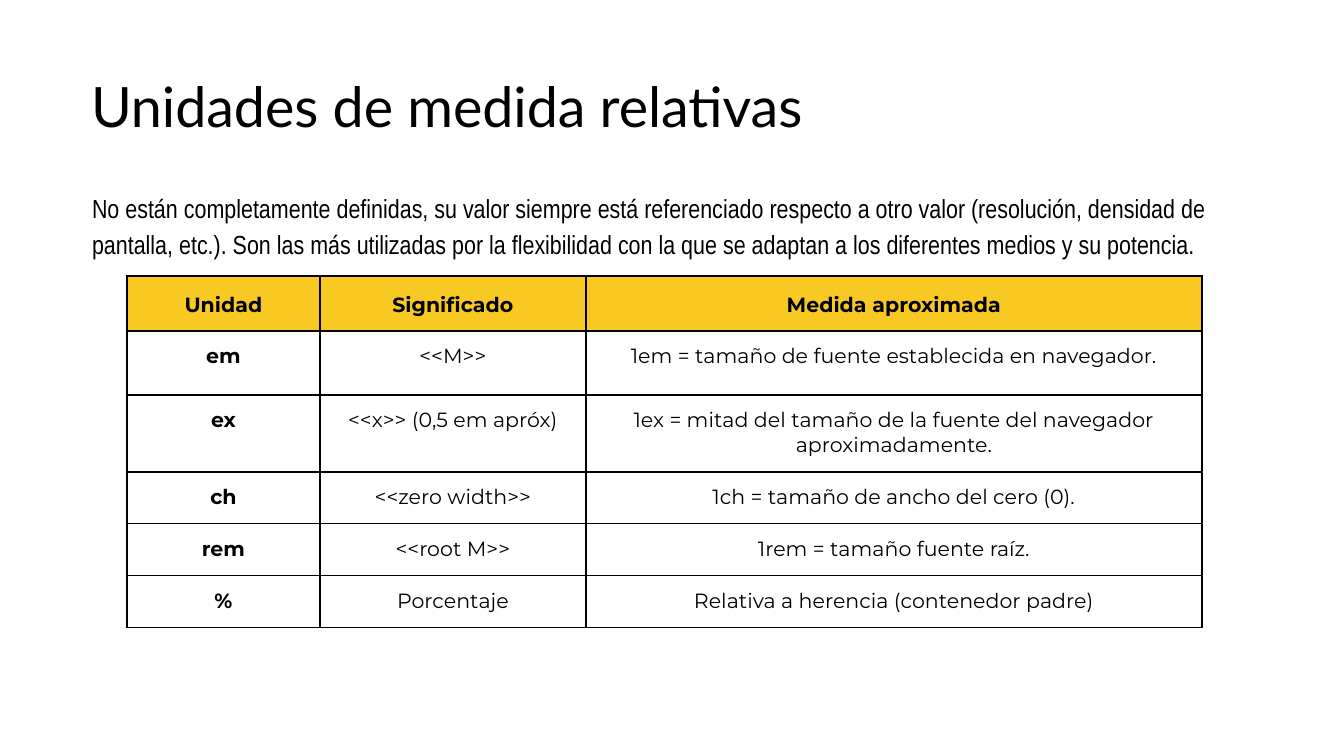
from typing import NamedTuple

from lxml.etree import SubElement
from pptx import Presentation
from pptx.dml.color import RGBColor
from pptx.enum.text import MSO_ANCHOR as Anchor, MSO_AUTO_SIZE as AutoSize, PP_ALIGN as Align
from pptx.oxml.ns import qn
from pptx.util import Emu, Pt

BLACK = RGBColor(0x00, 0x00, 0x00)
YELLOW = RGBColor(0xF8, 0xC8, 0x23)
EMU_PER_PX = 914400 / 134.4
INSET = 13
COLUMN_WIDTHS = (193, 266, 616)
HEADINGS = ("Unidad", "Significado", "Medida aproximada")
HEADING_HEIGHT = 55


class Box(NamedTuple):
    left: int
    top: int
    width: int
    height: int


class Unit(NamedTuple):
    name: str
    meaning: str
    measure: str
    height: int = 52


UNITS = (
    Unit("em", "<<M>>", "1em = tamaño de fuente establecida en navegador.", 64),
    Unit("ex", "<<x>> (0,5 em apróx)",
         "1ex = mitad del tamaño de la fuente del navegador aproximadamente.", 77),
    Unit("ch", "<<zero width>>", "1ch = tamaño de ancho del cero (0)."),
    Unit("rem", "<<root M>>", "1rem = tamaño fuente raíz."),
    Unit("%", "Porcentaje", "Relativa a herencia (contenedor padre)"),
)


def px(length: int) -> Emu:
    return Emu(round(length * EMU_PER_PX))


def set_font(paragraph, name: str, size: float, bold: bool = False) -> None:
    font = paragraph.font
    font.name = name
    font.size = Pt(size)
    font.bold = bold
    font.color.rgb = BLACK


def fill_placeholder(placeholder, box: Box, text: str, left_inset: int, anchor: Anchor):
    placeholder.left, placeholder.top, placeholder.width, placeholder.height = map(px, box)
    frame = placeholder.text_frame
    frame.text = text
    frame.word_wrap = True
    frame.auto_size = AutoSize.NONE
    frame.vertical_anchor = anchor
    frame.margin_left = px(left_inset)
    frame.margin_right = frame.margin_top = frame.margin_bottom = px(INSET)
    paragraph = frame.paragraphs[0]
    paragraph.alignment = Align.LEFT
    paragraph.space_before = Pt(0)
    return paragraph


def add_borders(cell) -> None:
    properties = cell._tc.get_or_add_tcPr()
    for position, side in enumerate(("a:lnL", "a:lnR", "a:lnT", "a:lnB")):
        border = properties.makeelement(qn(side), {"w": str(Pt(0.75))})
        properties.insert(position, border)
        color = SubElement(SubElement(border, qn("a:solidFill")), qn("a:srgbClr"))
        color.set("val", str(BLACK))


def fill_cell(cell, text: str, heading: bool, bold: bool) -> None:
    cell.text = text
    cell.margin_left = cell.margin_right = cell.margin_top = cell.margin_bottom = px(INSET)
    cell.vertical_anchor = Anchor.TOP
    paragraph = cell.text_frame.paragraphs[0]
    paragraph.alignment = Align.CENTER
    paragraph.line_spacing = 1.15 if heading else 1.0
    set_font(paragraph, "Montserrat", 11, bold)
    if heading:
        cell.fill.solid()
        cell.fill.fore_color.rgb = YELLOW
    else:
        cell.fill.background()
    add_borders(cell)


def add_units_table(slide, left: int, top: int) -> None:
    rows = (Unit(*HEADINGS, HEADING_HEIGHT), *UNITS)
    box = Box(left, top, sum(COLUMN_WIDTHS), sum(row.height for row in rows))
    table = slide.shapes.add_table(len(rows), len(COLUMN_WIDTHS), *map(px, box)).table
    table.horz_banding = False
    for column, width in zip(table.columns, COLUMN_WIDTHS):
        column.width = px(width)
    for row_index, row in enumerate(rows):
        table.rows[row_index].height = px(row.height)
        heading = row_index == 0
        for column_index, text in enumerate((row.name, row.meaning, row.measure)):
            fill_cell(table.cell(row_index, column_index), text, heading,
                      heading or column_index == 0)


def main() -> None:
    presentation = Presentation()
    presentation.slide_width, presentation.slide_height = px(1344), px(756)
    slide = presentation.slides.add_slide(presentation.slide_layouts[1])

    title = fill_placeholder(slide.shapes.title, Box(40, 69, 1250, 85),
                             "Unidades de medida relativas", 51, Anchor.MIDDLE)
    title.line_spacing = 0.8
    set_font(title, "Lato", 29.8)

    definition = fill_placeholder(
        slide.placeholders[1], Box(63, 175, 1218, 446),
        "No están completamente definidas, su valor siempre está referenciado respecto a "
        "otro valor (resolución, densidad de pantalla, etc.). Son las más utilizadas por la "
        "flexibilidad con la que se adaptan a los diferentes medios y su potencia.",
        INSET, Anchor.TOP)
    definition.line_spacing = 1.15
    definition.space_after = Pt(6)
    properties = definition._p.get_or_add_pPr()
    properties.set("marL", str(px(16)))
    properties.set("indent", "0")
    SubElement(properties, qn("a:buNone"))
    set_font(definition, "Arial Narrow", 14)

    add_units_table(slide, 127, 276)
    presentation.save("out.pptx")


if __name__ == "__main__":
    main()
